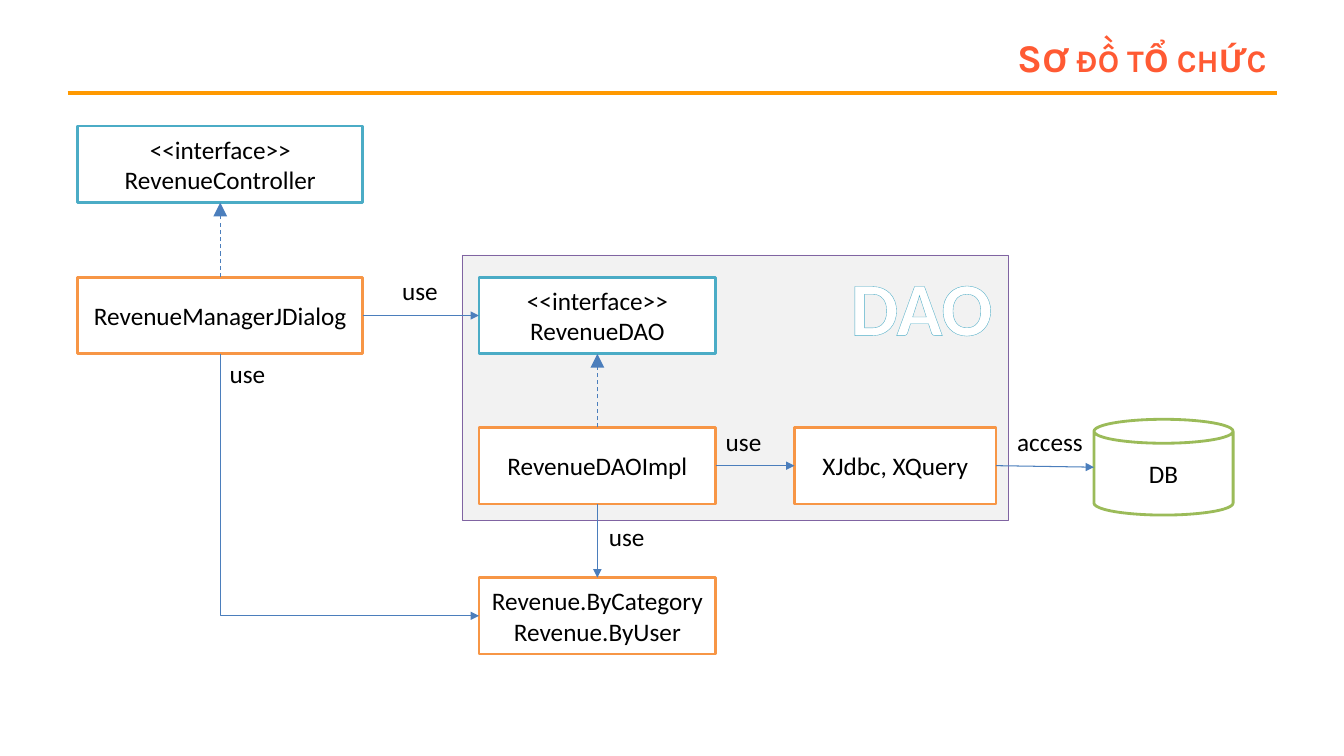
from lxml import etree
from pptx import Presentation
from pptx.dml.color import RGBColor
from pptx.enum.dml import MSO_LINE
from pptx.enum.shapes import MSO_CONNECTOR as Connector, MSO_SHAPE as Preset
from pptx.enum.text import MSO_ANCHOR as Anchor, MSO_AUTO_SIZE as AutoSize, PP_ALIGN as Align
from pptx.oxml.ns import qn
from pptx.util import Inches, Pt

TITLE = "Sơ đồ tổ chức"
TEAL, ORANGE, GREEN, BLUE = "4BACC6", "F79646", "9BBB59", "4B7EBC"
PANEL = (4.58, 2.53, 5.42, 2.63)
BOX_HEIGHT = 0.76
LEFT, MIDDLE, RIGHT = (0.77, 2.83), (4.75, 2.35), (7.88, 2)  # left, width
ROWS = [1.25, 2.75, 4.24, 5.73]

# name: column, row, border, text
BOXES = {
    "controller": (LEFT, 0, TEAL, "<<interface>>\nRevenueController"),
    "dialog": (LEFT, 1, ORANGE, "RevenueManagerJDialog"),
    "dao": (MIDDLE, 1, TEAL, "<<interface>>\nRevenueDAO"),
    "impl": (MIDDLE, 2, ORANGE, "RevenueDAOImpl"),
    "helpers": (RIGHT, 2, ORANGE, "XJdbc, XQuery"),
    "entities": (MIDDLE, 3, ORANGE, "Revenue.ByCategory\nRevenue.ByUser"),
}
DATABASE = (10.85, 4.16, 1.38, 0.95)

# from box, side, to box, side, implements an interface
ARROWS = [
    ("impl", "top", "dao", "bottom", True),
    ("dialog", "top", "controller", "bottom", True),
    ("impl", "right", "helpers", "left", False),
    ("helpers", "right", "database", "left", False),
    ("impl", "bottom", "entities", "top", False),
    ("dialog", "right", "dao", "left", False),
]
LABELS = [
    ("use", 3.89, 2.68, 0.56),
    ("use", 2.18, 3.51, 0.56),
    ("use", 5.94, 5.12, 0.56),
    ("use", 7.1, 4.18, 0.56),
    ("access", 9.99, 4.18, 0.86),
]


def color(value):
    return RGBColor.from_string(value)


def write(shape, text, size, font, fill, align, bold=False):
    frame = shape.text_frame
    frame.text = text
    for paragraph in frame.paragraphs:
        paragraph.alignment = align
        for run in paragraph.runs:
            run.font.size = Pt(size)
            run.font.name = font
            run.font.bold = bold
            run.font.color.rgb = color(fill)
    return frame


def add_block(slide, preset, bounds, fill, border, width, text=""):
    shape = slide.shapes.add_shape(preset, *map(Inches, bounds))
    shape.shadow.inherit = False
    shape.fill.solid()
    shape.fill.fore_color.rgb = color(fill)
    shape.line.color.rgb = color(border)
    shape.line.width = Pt(width)
    if text:
        frame = write(shape, text, 18, "Calibri", "000000", Align.CENTER)
        frame.vertical_anchor = Anchor.MIDDLE
    return shape


def add_line(slide, start, end, stroke, width, kind=Connector.STRAIGHT):
    line = slide.shapes.add_connector(kind, *map(Inches, start + end))
    line.line.color.rgb = color(stroke)
    line.line.width = Pt(width)
    etree.SubElement(line._element.spPr, qn("a:effectLst"))
    return line


def add_arrowhead(line, size):
    etree.SubElement(line.line._get_or_add_ln(), qn("a:tailEnd"),
                     type="triangle", w=size, len=size)


def add_label(slide, bounds, text, size, fill, align, bold=False):
    """Add a text box that grows with its unwrapped text."""
    box = slide.shapes.add_textbox(*map(Inches, bounds))
    frame = write(box, text, size, "Calibri", fill, align, bold)
    frame.word_wrap = False
    frame.auto_size = AutoSize.SHAPE_TO_FIT_TEXT
    return frame


def side_point(bounds, side):
    left, top, width, height = bounds
    across, down = {"top": (0.5, 0), "bottom": (0.5, 1),
                    "left": (0, 0.5), "right": (1, 0.5)}[side]
    return left + across * width, top + down * height


def add_corner_arrow(slide, start, end):
    """Add an arrow that goes down from start, then right to end."""
    across, down = end[0] - start[0], end[1] - start[1]
    left = (start[0] + end[0] - down) / 2
    top = (start[1] + end[1] - across) / 2
    line = add_line(slide, (left, top), (left + down, top + across),
                    BLUE, 0.75, Connector.ELBOW)
    properties = line._element.spPr
    properties.find(qn("a:prstGeom")).set("prst", "bentConnector2")
    transform = properties.find(qn("a:xfrm"))
    transform.set("rot", str(270 * 60000))
    transform.set("flipH", "1")
    add_arrowhead(line, "med")


def add_title(slide):
    box = slide.shapes.add_textbox(*map(Inches, (2.44, 0.3, 10.22, 0.53)))
    frame = write(box, TITLE, 28, "Karla", "FF5A33", Align.RIGHT, True)
    frame.word_wrap = True
    frame.vertical_anchor = Anchor.MIDDLE
    frame.paragraphs[0].runs[0].font._element.set("cap", "small")


def add_outlined_name(slide):
    frame = add_label(slide, (8.33, 2.53, 1.62, 1.01), "DAO", 54, "FFFFFF",
                      Align.CENTER, True)
    outline = etree.Element(qn("a:ln"), w=str(Pt(0.8)))
    fill = etree.SubElement(outline, qn("a:solidFill"))
    etree.SubElement(fill, qn("a:srgbClr"), val=TEAL)
    frame.paragraphs[0].runs[0].font._element.insert(0, outline)


def main():
    presentation = Presentation()
    presentation.slide_width, presentation.slide_height = Inches(13.33), Inches(7.5)
    slide = presentation.slides.add_slide(presentation.slide_layouts[6])

    add_line(slide, (0.67, 0.92), (12.67, 0.92), "FF9900", 3)
    add_block(slide, Preset.RECTANGLE, PANEL, "F2F2F2", "8064A2", 0.25)
    add_title(slide)

    places = {"database": DATABASE}
    for name, ((left, width), row, border, text) in BOXES.items():
        places[name] = (left, ROWS[row], width, BOX_HEIGHT)
        add_block(slide, Preset.RECTANGLE, places[name], "FFFFFF", border, 2, text)
    add_block(slide, Preset.CAN, DATABASE, "FFFFFF", GREEN, 2, "DB")

    for source, source_side, target, target_side, implements in ARROWS:
        line = add_line(slide, side_point(places[source], source_side),
                        side_point(places[target], target_side), BLUE, 0.75)
        if implements:
            line.line.dash_style = MSO_LINE.DASH
        add_arrowhead(line, "lg" if implements else "med")
    add_corner_arrow(slide, side_point(places["dialog"], "bottom"),
                     side_point(places["entities"], "left"))

    for text, left, top, width in LABELS:
        add_label(slide, (left, top, width, 0.4), text, 18, "000000", Align.LEFT)
    add_outlined_name(slide)

    presentation.save("out.pptx")


if __name__ == "__main__":
    main()
